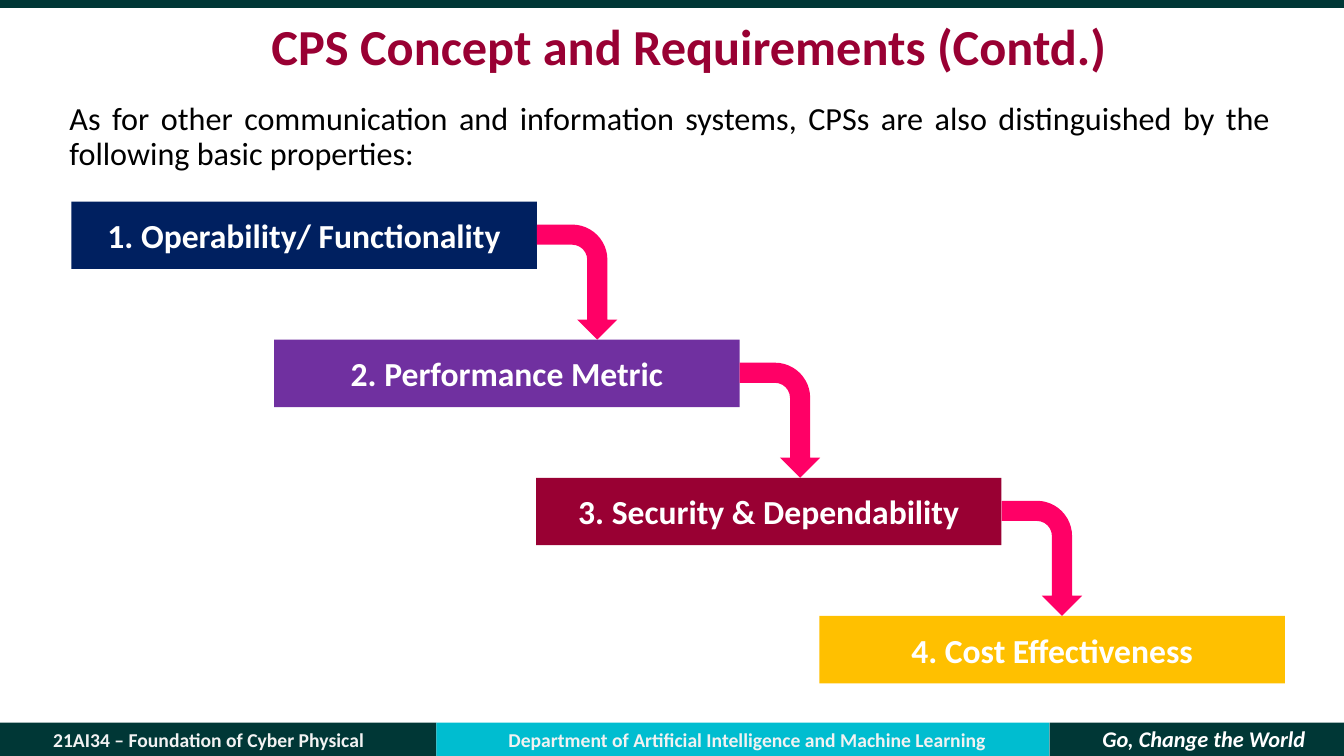
from dataclasses import dataclass

import pptx
import pptx.dml.color
import pptx.enum.shapes
import pptx.enum.text
import pptx.util
from pptx.util import Cm

ALIGN = pptx.enum.text.PP_ALIGN
ANCHOR = pptx.enum.text.MSO_ANCHOR
SHAPE = pptx.enum.shapes.MSO_SHAPE

SLIDE_WIDTH, SLIDE_HEIGHT = 33.87, 19.05
FOOTER_TOP, FOOTER_HEIGHT = 18.21, 0.84
STEP_TOP, STEP_PITCH = 5.08, 3.48
STEP_WIDTH, STEP_HEIGHT = 11.73, 1.7
ARROW_LENGTH, ARROW_BREADTH = 2.9, 2.03
DARK_TEAL, CYAN, CRIMSON, PINK = "003736", "00BDD0", "990033", "FF0066"


@dataclass
class Area:
    """A rectangle on the slide, in centimetres."""
    left: float
    top: float
    width: float
    height: float

    def lengths(self) -> tuple:
        return Cm(self.left), Cm(self.top), Cm(self.width), Cm(self.height)


@dataclass
class Band:
    area: Area
    color: str


@dataclass
class FooterText:
    text: str
    area: Area
    size: float
    color: str
    italic: bool = False


@dataclass
class Step:
    text: str
    left: float
    color: str


BANDS = [
    Band(Area(0, 0, SLIDE_WIDTH, 0.2), DARK_TEAL),
    Band(Area(0, FOOTER_TOP, 11, FOOTER_HEIGHT), DARK_TEAL),
    Band(Area(11, FOOTER_TOP, 15.45, FOOTER_HEIGHT), CYAN),
    Band(Area(26.45, FOOTER_TOP, 7.42, FOOTER_HEIGHT), DARK_TEAL),
]
FOOTER_TEXTS = [
    FooterText("21AI34 – Foundation of Cyber Physical",
               Area(0.36, FOOTER_TOP, 9.8, FOOTER_HEIGHT), 14, "F2F2F2"),
    FooterText("Department of Artificial Intelligence and Machine Learning",
               Area(12.47, FOOTER_TOP, 12.73, FOOTER_HEIGHT), 14, "F2F2F2"),
    FooterText("Go, Change the World",
               Area(27.48, 18.16, 5.72, 0.89), 16, "FFFFFF", italic=True),
]
STEPS = [
    Step("1. Operability/ Functionality", 1.8, "002060"),
    Step("2. Performance Metric", 6.91, "7030A0"),
    Step("3. Security & Dependability", 13.51, CRIMSON),
    Step("4. Cost Effectiveness", 20.65, "FFC000"),
]


def rgb(code: str) -> pptx.dml.color.RGBColor:
    return pptx.dml.color.RGBColor.from_string(code)


def write(shape, text: str, *, size: float, color: str, bold: bool = True,
          italic: bool = False, align=ALIGN.CENTER, anchor=ANCHOR.MIDDLE,
          line_spacing: float = 1.0) -> None:
    frame = shape.text_frame
    frame.word_wrap = True
    frame.auto_size = pptx.enum.text.MSO_AUTO_SIZE.NONE
    frame.vertical_anchor = anchor
    para = frame.paragraphs[0]
    para.alignment = align
    para.line_spacing = line_spacing
    span = para.add_run()
    span.text = text
    span.font.name = "Calibri"
    span.font.size = pptx.util.Pt(size)
    span.font.bold = bold
    span.font.italic = italic
    span.font.color.rgb = rgb(color)


def add_filled(page, kind, area: Area, color: str):
    shape = page.shapes.add_shape(kind, *area.lengths())
    shape.shadow.inherit = False
    shape.fill.solid()
    shape.fill.fore_color.rgb = rgb(color)
    shape.line.fill.background()
    return shape


def add_step_arrow(page, left: float, tip: float) -> None:
    """Bend an arrow from a step's right side down to the next step's top."""
    center_x = left + ARROW_BREADTH / 2
    center_y = tip - ARROW_LENGTH / 2
    area = Area(center_x - ARROW_LENGTH / 2, center_y - ARROW_BREADTH / 2,
                ARROW_LENGTH, ARROW_BREADTH)
    arrow = add_filled(page, SHAPE.BENT_ARROW, area, PINK)
    arrow.rotation = 90


def add_steps(page) -> None:
    for index, step in enumerate(STEPS):
        top = STEP_TOP + index * STEP_PITCH
        area = Area(step.left, top, STEP_WIDTH, STEP_HEIGHT)
        box = add_filled(page, SHAPE.RECTANGLE, area, step.color)
        write(box, step.text, size=24, color="FFFFFF")
    for index, step in enumerate(STEPS[:-1]):
        add_step_arrow(page, step.left + STEP_WIDTH,
                       STEP_TOP + (index + 1) * STEP_PITCH)


def main() -> None:
    deck = pptx.Presentation()
    deck.slide_width, deck.slide_height = Cm(SLIDE_WIDTH), Cm(SLIDE_HEIGHT)
    page = deck.slides.add_slide(deck.slide_layouts[5])

    for band in BANDS:
        add_filled(page, SHAPE.RECTANGLE, band.area, band.color)
    for item in FOOTER_TEXTS:
        box = page.shapes.add_textbox(*item.area.lengths())
        write(box, item.text, size=item.size, color=item.color,
              italic=item.italic, anchor=ANCHOR.TOP)

    title = page.shapes.title
    title.left, title.top, title.width, title.height = Area(
        2.34, 0.38, 30.05, 1.7).lengths()
    write(title, "CPS Concept and Requirements (Contd.)", size=36,
          color=CRIMSON, line_spacing=0.9)

    intro = page.shapes.add_textbox(*Area(1.5, 2.46, 30.81, 2.46).lengths())
    write(intro, "As for other communication and information systems, CPSs are "
          "also distinguished by the following basic properties:", size=23,
          color="000000", bold=False, align=ALIGN.JUSTIFY, anchor=ANCHOR.TOP,
          line_spacing=0.9)

    add_steps(page)
    deck.save("out.pptx")


if __name__ == "__main__":
    main()
